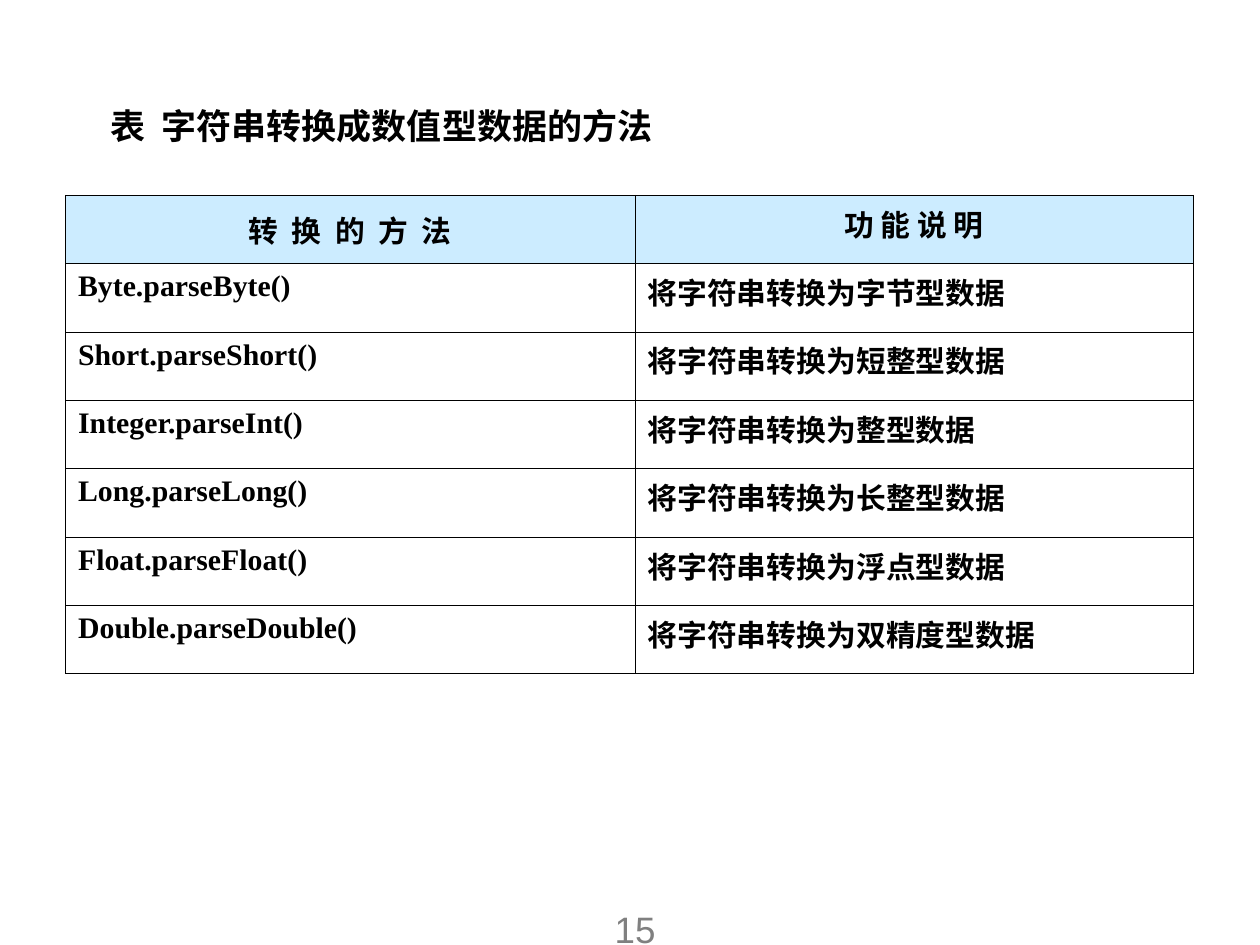
"""Build a slide with a table of string-to-number conversion methods."""
from lxml.etree import SubElement as Sub
from pptx import Presentation
from pptx.dml.color import RGBColor as RGB
from pptx.enum.text import MSO_ANCHOR as Anchor, PP_ALIGN as Align
from pptx.oxml.ns import qn
from pptx.util import Inches, Pt

BLACK = RGB(0, 0, 0)
GRAY = RGB(0x80, 0x80, 0x80)
PALE = RGB(0xCC, 0xEC, 0xFF)

TITLE = "表  字符串转换成数值型数据的方法"
PAGE = "15"
HEAD = ("转  换  的  方  法", "功 能 说 明")
ROWS = [
    ("Byte.parseByte()", "将字符串转换为字节型数据"),
    ("Short.parseShort()", "将字符串转换为短整型数据"),
    ("Integer.parseInt()", "将字符串转换为整型数据"),
    ("Long.parseLong()", "将字符串转换为长整型数据"),
    ("Float.parseFloat()", "将字符串转换为浮点型数据"),
    ("Double.parseDouble()", "将字符串转换为双精度型数据"),
]

TITLE_BOX = (0.78, 0.78, 8.79, 0.44)
PAGE_BOX = (4.58, 7.15, 0.92, 0.29)
GRID_BOX = (0.52, 1.55, 8.95, 3.8)
COLS = (4.52, 4.43)
RULE = 0.45

TITLE_FONT = {"name": "Times New Roman", "size": Pt(20), "bold": True}
CELL_FONT = {"name": "Times New Roman", "size": Pt(17), "bold": True}
PAGE_FONT = {"name": "Arial", "size": Pt(21), "bold": False}


def write(frame, text, form, color=BLACK, align=Align.LEFT):
    para = frame.paragraphs[0]
    para.text, para.alignment = text, align
    font = para.runs[0].font
    for key, value in form.items():
        setattr(font, key, value)
    font.color.rgb = color


def add_text(slide, box, *style):
    frame = slide.shapes.add_textbox(*map(Inches, box)).text_frame
    frame.word_wrap = True
    write(frame, *style)


def add_rules(cell):
    props = cell._tc.get_or_add_tcPr()
    for index, side in enumerate(("lnL", "lnR", "lnT", "lnB")):
        line = props.makeelement(qn(f"a:{side}"), {"w": str(int(Pt(RULE)))})
        fill = Sub(line, qn("a:solidFill"))
        Sub(fill, qn("a:srgbClr"), val=str(BLACK))
        props.insert(index, line)


def add_grid(slide):
    data = [HEAD, *ROWS]
    table = slide.shapes.add_table(
        len(data), len(COLS), *map(Inches, GRID_BOX)).table
    for col, width in zip(table.columns, COLS):
        col.width = Inches(width)
    for r, row in enumerate(data):
        for c, text in enumerate(row):
            cell = table.cell(r, c)
            if r == 0:
                cell.fill.solid()
                cell.fill.fore_color.rgb = PALE
            else:
                cell.fill.background()
            align = Align.LEFT if r else Align.CENTER
            write(cell.text_frame, text, CELL_FONT, BLACK, align)
            add_rules(cell)
    table.cell(0, 0).vertical_anchor = Anchor.MIDDLE


def main():
    deck = Presentation()
    deck.slide_width, deck.slide_height = Inches(10), Inches(7.5)
    slide = deck.slides.add_slide(deck.slide_layouts[6])
    add_text(slide, PAGE_BOX, PAGE, PAGE_FONT, GRAY, Align.CENTER)
    add_text(slide, TITLE_BOX, TITLE, TITLE_FONT)
    add_grid(slide)
    deck.save("out.pptx")


if __name__ == "__main__":
    main()
